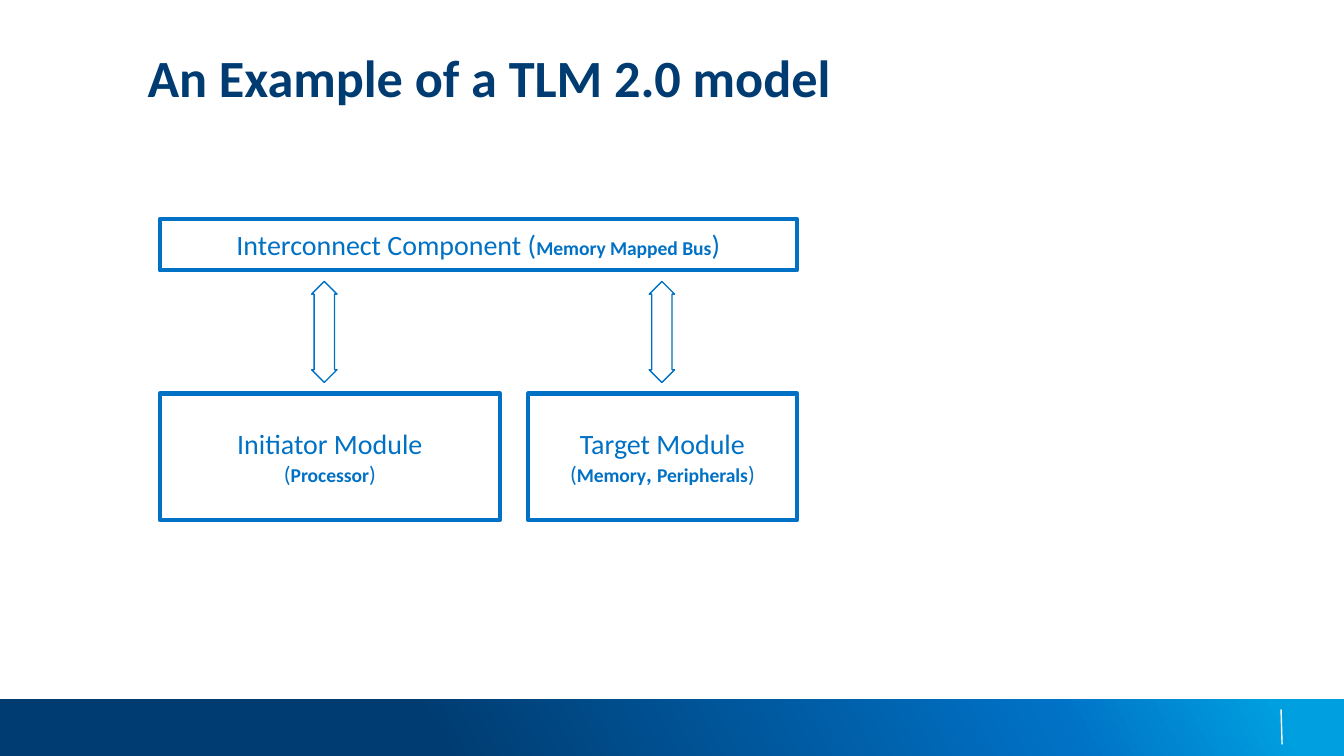
from copy import deepcopy
from pptx import Presentation
from pptx.dml.color import RGBColor as Rgb
from pptx.enum.shapes import MSO_CONNECTOR as Link, MSO_SHAPE as Kind
from pptx.enum.text import MSO_ANCHOR as Anchor, MSO_AUTO_SIZE as Auto, PP_ALIGN as Align
from pptx.oxml.ns import qn
from pptx.oxml.xmlchemy import OxmlElement as Node
from pptx.util import Cm, Pt

HUES = {"navy": "003C71", "blue": "0071C5", "sky": "009FDF", "white": "FFFFFF"}
FONT = "Calibri"
TITLE = "An Example of a TLM 2.0 model"
STOPS = [(0.32, "navy"), (0.78, "blue"), (0.95, "sky")]

LEFT, WIDE = 3.02, 12.04
GAP = 0.53
HALF = 6.43
TOP, LOW = 4.14, 7.44
THIN, TALL = 0.97, 2.39
SIDE = LEFT + HALF + GAP

BOXES = [
    ((SIDE, LOW, LEFT + WIDE - SIDE, TALL), [
        [("Target Module", 15, False)],
        [("(", 12, False), ("Memory", 10.5, True), (", ", 12, True),
         ("Peripherals", 10.5, True), (")", 12, False)]]),
    ((LEFT, TOP, WIDE, THIN), [
        [("Interconnect Component (", 15, False),
         ("Memory Mapped Bus", 10.5, True), (")", 15, False)]]),
    ((LEFT, LOW, HALF, TALL), [
        [("Initiator Module", 15, False)],
        [("(", 12, False), ("Processor", 10.5, True), (")", 12, False)]]),
]
ARROWS = [5.89, 12.27]
SPAN, RISE = 0.48, 1.91


def hue(name):
    return Rgb.from_string(HUES[name])


def add_run(para, text, size, bold, name):
    run = para.add_run()
    run.text = text
    font = run.font
    font.name, font.size, font.bold = FONT, Pt(size), bold
    font.color.rgb = hue(name)


def add_shape(slide, kind, spot, width):
    shape = slide.shapes.add_shape(kind, *map(Cm, spot))
    shape.shadow.inherit = False
    shape.fill.background()
    shape.line.color.rgb = hue("blue")
    shape.line.width = Pt(width)
    return shape


def add_bar(slide):
    bar = slide.shapes.add_shape(Kind.RECTANGLE, 0, Cm(13.22), Cm(25.4), Cm(1.07))
    bar.shadow.inherit = False
    bar.line.fill.background()
    bar.fill.gradient()
    stops = bar._element.spPr.find(qn("a:gradFill")).find(qn("a:gsLst"))
    stops.append(deepcopy(stops[0]))
    for stop, (place, name) in zip(bar.fill.gradient_stops, STOPS):
        stop.color.rgb = hue(name)
        stop.position = place
    bar.fill.gradient_angle = 29
    rule = slide.shapes.add_connector(
        Link.STRAIGHT, Cm(24.21), Cm(13.41), Cm(24.23), Cm(14.07))
    rule.line.color.rgb = hue("white")
    rule.line.width = Pt(0.75)
    rule._element.spPr.append(Node("a:effectLst"))


def add_title(slide):
    title = slide.shapes.title
    title.left, title.top, title.width, title.height = map(Cm, (1.27, 0.86, 22.86, 2.41))
    frame = title.text_frame
    frame.auto_size = Auto.NONE
    frame.vertical_anchor = Anchor.TOP
    frame.margin_left = Cm(1.52)
    frame.margin_top = frame.margin_right = frame.margin_bottom = 0
    para = frame.paragraphs[0]
    para.alignment = Align.LEFT
    add_run(para, TITLE, 28, True, "navy")


def add_box(slide, spot, lines):
    frame = add_shape(slide, Kind.RECTANGLE, spot, 2.25).text_frame
    frame.word_wrap = False
    frame.vertical_anchor = Anchor.MIDDLE
    for i, line in enumerate(lines):
        para = frame.add_paragraph() if i else frame.paragraphs[0]
        para.alignment = Align.CENTER
        for part in line:
            add_run(para, *part, "blue")


def main():
    deck = Presentation()
    deck.slide_width, deck.slide_height = Cm(25.4), Cm(14.29)
    slide = deck.slides.add_slide(deck.slide_layouts[5])
    add_bar(slide)
    add_title(slide)
    for spot, lines in BOXES:
        add_box(slide, spot, lines)
    top = (TOP + THIN + LOW - RISE) / 2
    for left in ARROWS:
        arrow = add_shape(slide, Kind.UP_DOWN_ARROW, (left, top, SPAN, RISE), 0.75)
        arrow.adjustments[0] = 0.5
        arrow.adjustments[1] = 0.8
    deck.save("out.pptx")


if __name__ == "__main__":
    main()
